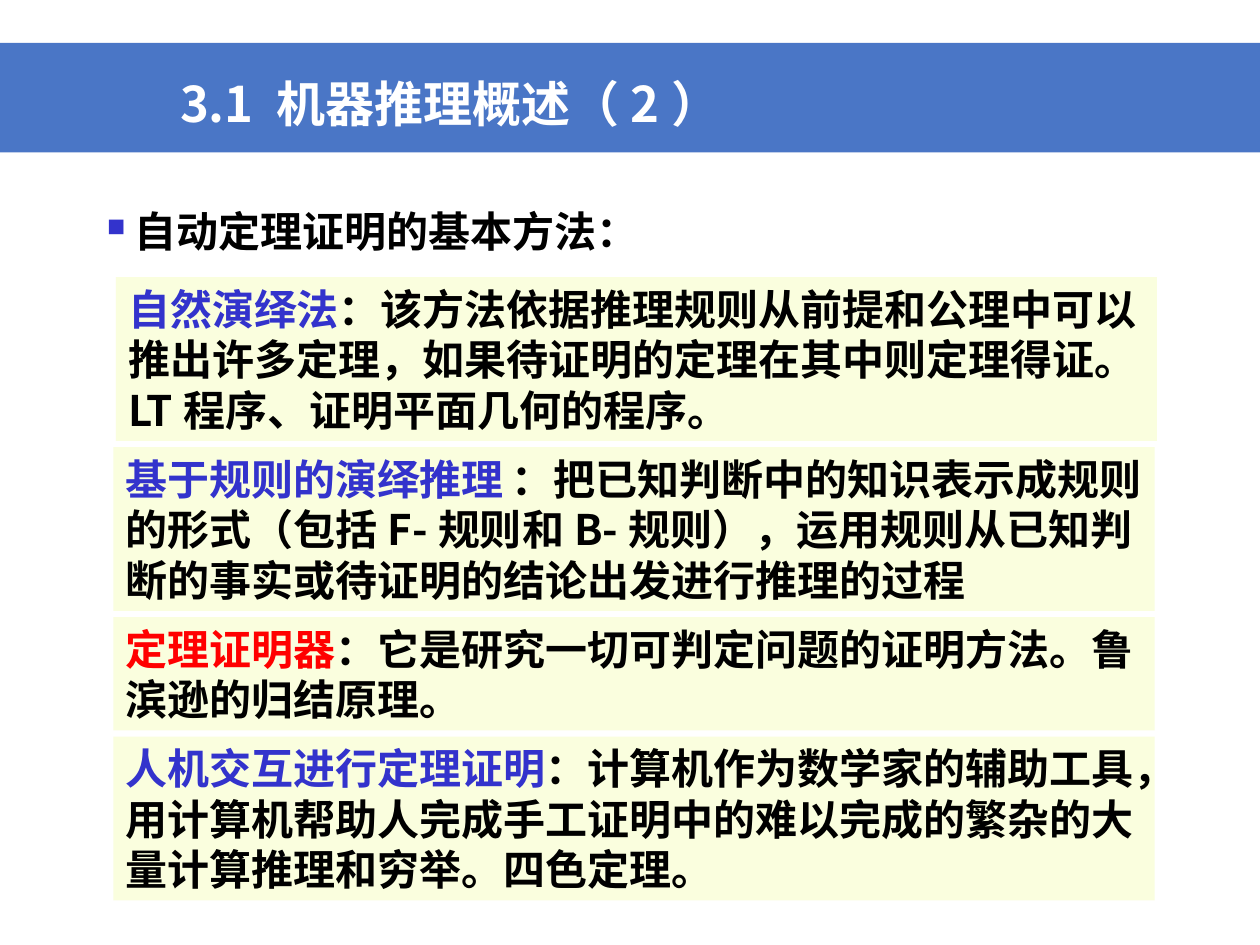
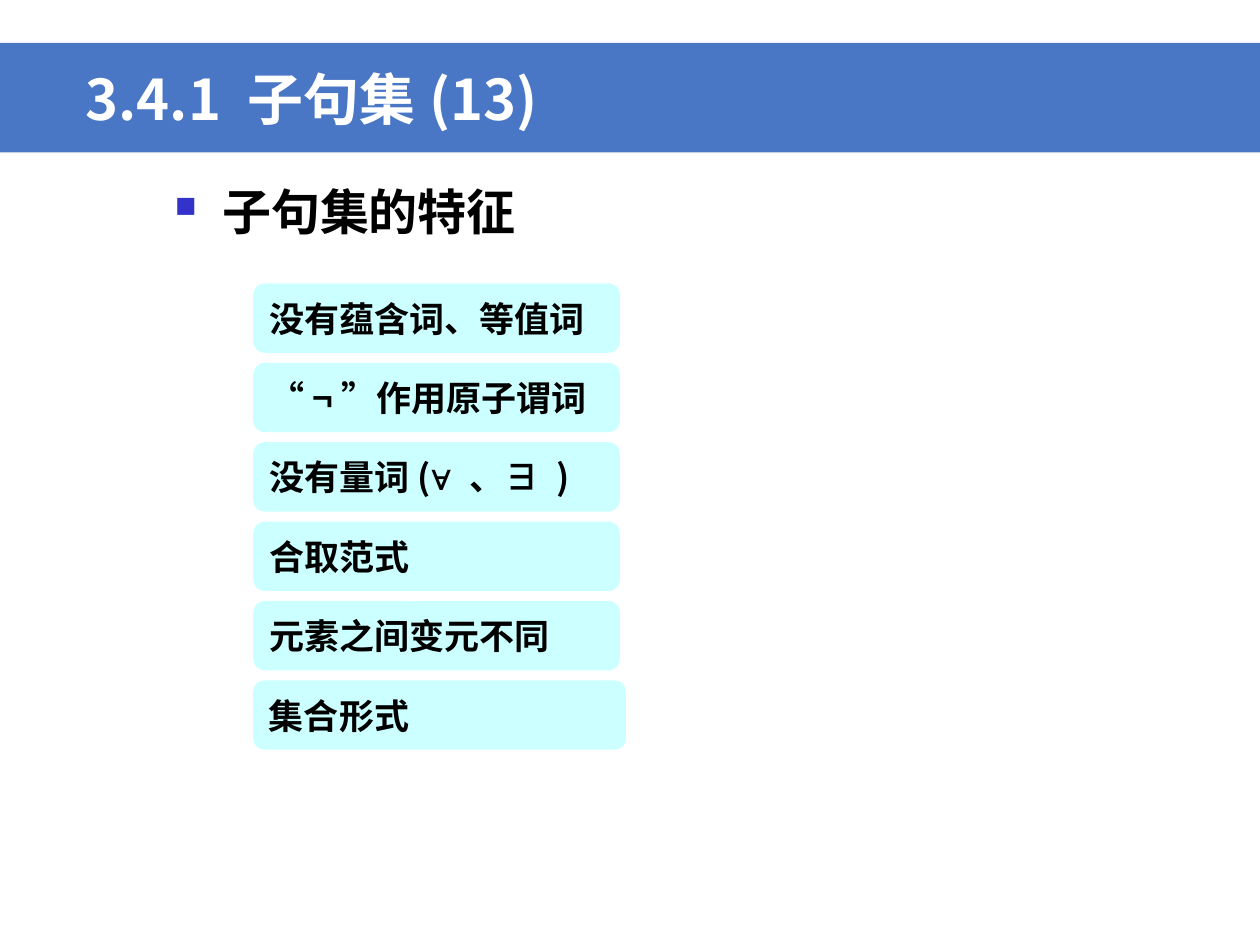
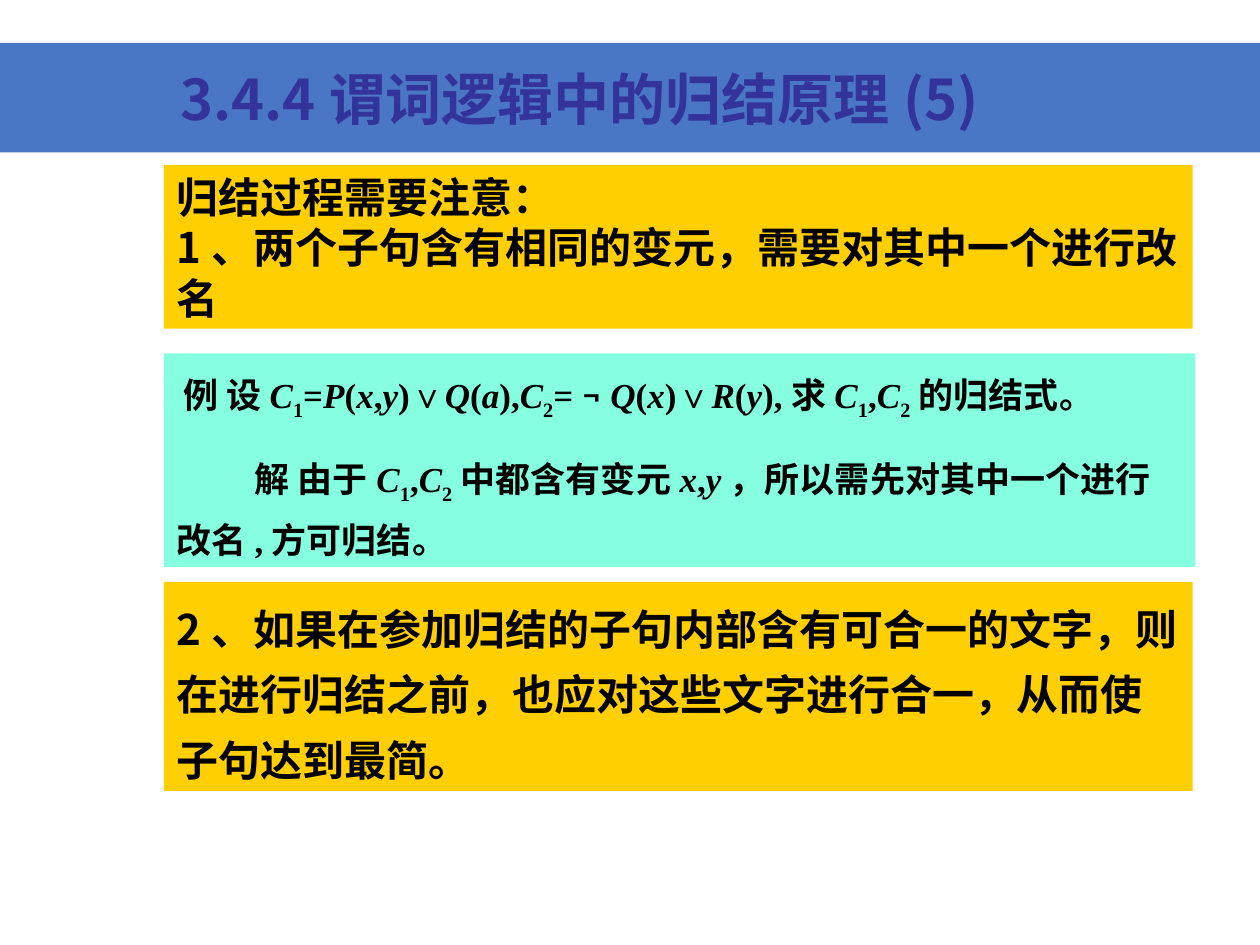
from dataclasses import dataclass
from itertools import groupby

from lxml.etree import SubElement
from pptx import Presentation
from pptx.dml.color import RGBColor
from pptx.enum.lang import MSO_LANGUAGE_ID as Language
from pptx.enum.shapes import MSO_SHAPE as Preset
from pptx.enum.text import MSO_ANCHOR as Anchor, PP_ALIGN as Align
from pptx.oxml.ns import qn
from pptx.slide import Slide
from pptx.util import Pt

CJK = "Noto Sans CJK SC"
WHITE, BLACK, RED = "FFFFFF", "000000", "FF0000"
BAND_BLUE, TERM_BLUE, TITLE_NAVY = "4A76C6", "3333CC", "333399"
CREAM, CYAN, MINT, GOLD = "FAFEDE", "CCFFFF", "85FFDF", "FFCF01"


@dataclass(frozen=True)
class Run:
    text: str
    color: str = BLACK
    size: float = 24
    font: str = CJK
    italic: bool = False
    baseline: int = 0


@dataclass(frozen=True)
class Paragraph:
    runs: list[Run]
    left: float = 0
    first: float = 0
    before: float = 0
    spacing: float = 1.0
    bullet: bool = False


@dataclass(frozen=True)
class Block:
    left: float
    top: float
    width: float
    height: float
    paragraphs: list[Paragraph]
    fill: str | None = None
    preset: Preset = Preset.RECTANGLE
    anchor: Anchor = Anchor.TOP


def rgb(color: str) -> RGBColor:
    return RGBColor.from_string(color)


def add_run(paragraph, run: Run) -> None:
    piece = paragraph.add_run()
    piece.text = run.text
    values = {
        "size": Pt(run.size),
        "bold": True,
        "italic": run.italic,
        "name": run.font,
        "language_id": Language.SIMPLIFIED_CHINESE,
    }
    for key, value in values.items():
        setattr(piece.font, key, value)
    piece.font.color.rgb = rgb(run.color)
    properties = piece.font._element
    SubElement(properties, qn("a:ea"), typeface=CJK)
    if run.baseline:
        properties.set("baseline", str(run.baseline * 1000))


def add_bullet(properties) -> None:
    color = SubElement(properties, qn("a:buClr"))
    SubElement(color, qn("a:srgbClr"), val=TERM_BLUE)
    SubElement(properties, qn("a:buSzPct"), val="60000")
    SubElement(properties, qn("a:buChar"), char="■")


def fill_text(frame, block: Block) -> None:
    values = {
        "word_wrap": True,
        "vertical_anchor": block.anchor,
        "margin_left": Pt(7.2),
        "margin_right": Pt(7.2),
        "margin_top": Pt(3.6),
        "margin_bottom": Pt(3.6),
    }
    for key, value in values.items():
        setattr(frame, key, value)
    for index, content in enumerate(block.paragraphs):
        paragraph = frame.add_paragraph() if index else frame.paragraphs[0]
        layout = {
            "alignment": Align.LEFT,
            "line_spacing": content.spacing,
            "space_before": Pt(content.before),
        }
        for key, value in layout.items():
            setattr(paragraph, key, value)
        properties = paragraph._p.get_or_add_pPr()
        properties.set("marL", str(Pt(content.left)))
        properties.set("indent", str(Pt(content.first)))
        if content.bullet:
            add_bullet(properties)
        for run in content.runs:
            add_run(paragraph, run)


def add_block(slide: Slide, block: Block) -> None:
    place = [Pt(v) for v in (block.left, block.top, block.width, block.height)]
    if block.fill is None:
        area = slide.shapes.add_textbox(*place)
    else:
        area = slide.shapes.add_shape(block.preset, *place)
        area.shadow.inherit = False
        area.fill.solid()
        area.fill.fore_color.rgb = rgb(block.fill)
        area.line.fill.background()
    fill_text(area.text_frame, block)


def add_page(deck, title: Run, title_left: float, blocks: list[Block]) -> None:
    slide = deck.slides.add_slide(deck.slide_layouts[6])
    band = Block(0, 24.5, 720, 62.6, [], BAND_BLUE)
    heading = Block(title_left, 24.2, 613, 54.7, [Paragraph([title])], anchor=Anchor.BOTTOM)
    for block in (band, heading, *blocks):
        add_block(slide, block)


def logic_style(character: str) -> tuple[str, bool, int]:
    if character == "¬":
        return "Roboto", False, 0
    is_variable = character.isascii() and character.isalpha()
    return "Times New Roman", is_variable, -25 if character.isdigit() else 0


def logic_runs(text: str) -> list[Run]:
    return [
        Run("".join(characters), size=20, font=font, italic=italic, baseline=baseline)
        for (font, italic, baseline), characters in groupby(text, logic_style)
    ]


def proof_methods() -> list[Block]:
    methods = [
        (66.2, 93.6, [
            Run("自然演绎法", TERM_BLUE),
            Run("：该方法依据推理规则从前提和公理中可以推出许多定理，如果待证明的定理在其中则定理得证。LT程序、证明平面几何的程序。"),
        ]),
        (64.8, 93.6, [
            Run("基于规则的演绎推理", TERM_BLUE),
            Run(" ", size=20, font="Roboto"),
            Run("：把已知判断中的知识表示成规则的形式（包括F-规则和B-规则），运用规则从已知判断的事实或待证明的结论出发进行推理的过程"),
        ]),
        (64.8, 64.8, [
            Run("定理证明器", RED),
            Run("：它是研究一切可判定问题的证明方法。鲁滨逊的归结原理。"),
        ]),
        (64.8, 93.6, [
            Run("人机交互进行定理证明", TERM_BLUE),
            Run("：计算机作为数学家的辅助工具，用计算机帮助人完成手工证明中的难以完成的繁杂的大量计算推理和穷举。四色定理。"),
        ]),
    ]
    lead = Paragraph([Run("自动定理证明的基本方法：")], left=16, first=-16, bullet=True)
    blocks = [Block(54, 113.8, 612, 36, [lead])]
    top = 158.4
    for left, height, runs in methods:
        blocks.append(Block(left, top, 595, height, [Paragraph(runs)], CREAM))
        top += height + 3.5
    return blocks


def clause_features() -> list[Block]:
    features = [
        [("没有蕴含词、等值词", CJK)],
        [("“¬”作用原子谓词", CJK)],
        [("没有量词(", CJK), ("∀ ", "Arial"), ("、", CJK), ("∃ ", "Arial"), (")", CJK)],
        [("合取范式", CJK)],
        [("元素之间变元不同", CJK)],
        [("集合形式", CJK)],
    ]
    lead = Paragraph([Run("子句集的特征", size=28)], left=27, first=-27, bullet=True)
    blocks = [Block(92.9, 100, 612, 383, [lead])]
    for row, parts in enumerate(features):
        runs = [Run(text, size=20, font=font) for text, font in parts]
        width = 213 if row == len(features) - 1 else 209.5
        blocks.append(Block(144.7, 162 + 45.36 * row, width, 39.6, [Paragraph(runs)],
                            CYAN, Preset.ROUNDED_RECTANGLE, Anchor.MIDDLE))
    return blocks


def resolution_notes() -> list[Block]:
    renaming = [
        Paragraph([Run("归结过程需要注意：")]),
        Paragraph([Run("1、两个子句含有相同的变元，需要对其中一个进行改名")]),
    ]
    example = [
        Paragraph(logic_runs("例 设C1=P(x,y)∨Q(a),C2= ¬ Q(x)∨R(y),求C1,C2的归结式。"),
                  first=4, spacing=1.3),
        Paragraph(logic_runs("解 由于C1,C2中都含有变元x,y，所以需先对其中一个进行改名,方可归结。"),
                  first=45, before=12.5, spacing=1.3),
    ]
    unifying = [Paragraph([Run(
        "2、如果在参加归结的子句内部含有可合一的文字，则在进行归结之前，也应对这些文字进行合一，从而使子句达到最简。"
    )], spacing=1.3)]
    return [
        Block(93.6, 94.3, 588, 93.6, renaming, GOLD),
        Block(93.6, 202, 589.5, 122, example, MINT),
        Block(93.6, 332.5, 588, 119.5, unifying, GOLD),
    ]


def main() -> None:
    deck = Presentation()
    deck.slide_width, deck.slide_height = Pt(720), Pt(540)
    add_page(deck, Run("3.1 机器推理概述（2）", WHITE, 28), 95.8, proof_methods())
    add_page(deck, Run("3.4.1 子句集(13)", WHITE, 32), 41.8, clause_features())
    add_page(deck, Run("3.4.4谓词逻辑中的归结原理(5)", TITLE_NAVY, 32), 95.8, resolution_notes())
    deck.save("out.pptx")


if __name__ == "__main__":
    main()
